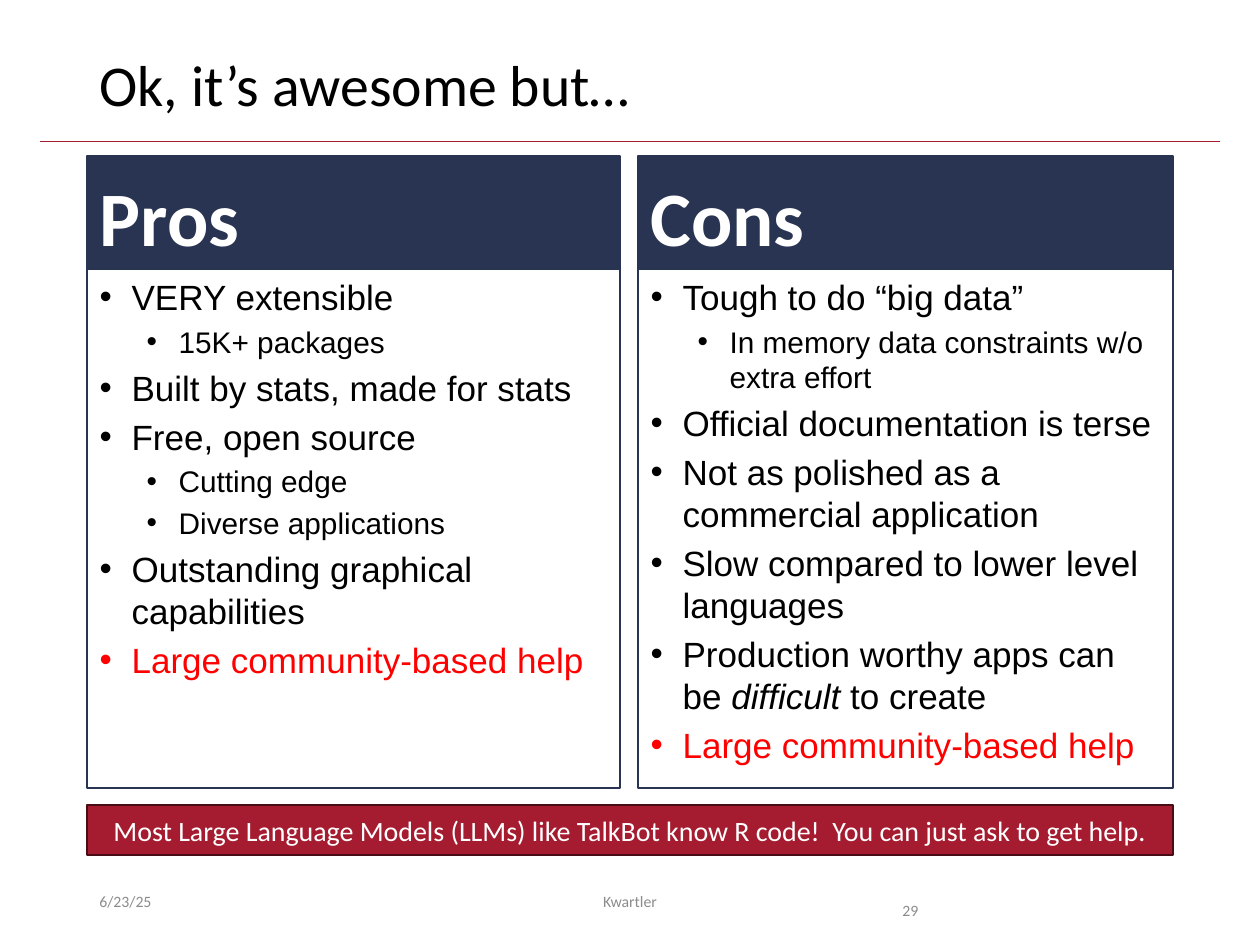
"""Builds the pros and cons slide."""
from lxml.etree import SubElement
from pptx import Presentation
from pptx.dml.color import RGBColor
from pptx.enum.shapes import MSO_CONNECTOR as Link, MSO_SHAPE as Kind
from pptx.enum.text import MSO_ANCHOR as Anchor, MSO_AUTO_SIZE as Fit, PP_ALIGN as Align
from pptx.oxml.ns import qn
from pptx.util import Pt

SCALE = 914400 / 126
NAVY, RED, DARK, GREY = "293352", "A51C30", "480C15", "8C8C8C"
BLACK, WHITE, HOT = "000000", "FFFFFF", "FF0000"

TITLE = "Ok, it’s awesome but…"
COLUMNS = [
    ("Pros", 87, 533, [
        (0, "VERY extensible"),
        (1, "15K+ packages"),
        (0, "Built by stats, made for stats"),
        (0, "Free, open source"),
        (1, "Cutting edge"),
        (1, "Diverse applications"),
        (0, "Outstanding graphical capabilities"),
        (0, "Large community-based help"),
    ]),
    ("Cons", 638, 535, [
        (0, "Tough to do “big data”"),
        (1, "In memory data constraints w/o extra effort"),
        (0, "Official documentation is terse"),
        (0, "Not as polished as a commercial application"),
        (0, "Slow compared to lower level languages"),
        (0, "Production worthy apps can be *difficult* to create"),
        (0, "Large community-based help"),
    ]),
]
BANNER = "Most Large Language Models (LLMs) like TalkBot know R code!  You can just ask to get help."
FOOTER = [
    ("6/23/25", 87, 283, Align.LEFT, Anchor.MIDDLE, 1),
    ("Kwartler", 417, 426, Align.CENTER, Anchor.MIDDLE, 1),
    ("29", 890, 118, Align.LEFT, Anchor.TOP, 2),
]
LEVELS = [(20, 32, 4), (17, 79, 3.4)]


def px(n):
    return round(n * SCALE)


def rgb(code):
    return RGBColor.from_string(code)


def place(shape, *box):
    shape.left, shape.top, shape.width, shape.height = map(px, box)
    return shape


def paint(shape, fill, line, width):
    if fill:
        shape.fill.solid()
        shape.fill.fore_color.rgb = rgb(fill)
    shape.line.color.rgb = rgb(line)
    shape.line.width = Pt(width)


def write(par, text, size=20, font="Calibri", color=BLACK, bold=False,
          align=Align.LEFT, lead=1, before=0):
    par.alignment, par.line_spacing, par.space_before = align, lead, Pt(before)
    for i, part in enumerate(text.split("*")):
        if part:
            run = par.add_run()
            run.text = part
            face = run.font
            face.size, face.name, face.bold = Pt(size), font, bold
            face.italic = i % 2 == 1
            face.color.rgb = rgb(color)


def frame(shape, anchor):
    box = shape.text_frame
    box.word_wrap, box.auto_size, box.vertical_anchor = True, Fit.NONE, anchor
    return box


def bullet(par, indent):
    props = par._p.get_or_add_pPr()
    props.set("marL", str(px(indent)))
    props.set("indent", str(px(-32)))
    SubElement(props, qn("a:buFont"), typeface="Arial")
    SubElement(props, qn("a:buChar"), char="•")


def fill_list(shape, items):
    box = frame(shape, Anchor.TOP)
    for i, (level, text) in enumerate(items):
        par = box.add_paragraph() if i else box.paragraphs[0]
        size, indent, gap = LEVELS[level]
        par.level = level
        bullet(par, indent)
        color = HOT if i == len(items) - 1 else BLACK
        write(par, text, size=size, font="Arial", color=color, before=gap if i else 0)


def main():
    deck = Presentation()
    deck.slide_width, deck.slide_height = px(1260), px(945)
    slide = deck.slides.add_slide(deck.slide_layouts[4])
    shapes = slide.shapes

    rule = shapes.add_connector(Link.STRAIGHT, px(40), px(141), px(1220), px(141))
    paint(rule, None, RED, 0.5)
    SubElement(rule._element.spPr, qn("a:effectLst"))

    title, *slots = slide.placeholders
    place(title, 87, 50, 1086, 82)
    write(frame(title, Anchor.TOP).paragraphs[0], TITLE, size=33, lead=0.9)

    for (name, left, width, items), head, body in zip(COLUMNS, slots[::2], slots[1::2]):
        paint(place(head, left, 156, width, 113), NAVY, NAVY, 0.75)
        write(frame(head, Anchor.BOTTOM).paragraphs[0], name, size=44,
              color=WHITE, bold=True, lead=0.9)
        paint(place(body, left, 269, width, 519), None, NAVY, 0.75)
        fill_list(body, items)

    for text, left, width, align, anchor, lead in FOOTER:
        note = shapes.add_textbox(px(left), px(876), px(width), px(50))
        write(frame(note, anchor).paragraphs[0], text, size=9, color=GREY,
              align=align, lead=lead)

    bar = shapes.add_shape(Kind.RECTANGLE, px(87), px(805), px(1086), px(50))
    bar.shadow.inherit = False
    paint(bar, RED, DARK, 1)
    write(frame(bar, Anchor.MIDDLE).paragraphs[0], BANNER, size=16, color=WHITE,
          align=Align.CENTER)

    deck.save("out.pptx")


if __name__ == "__main__":
    main()
